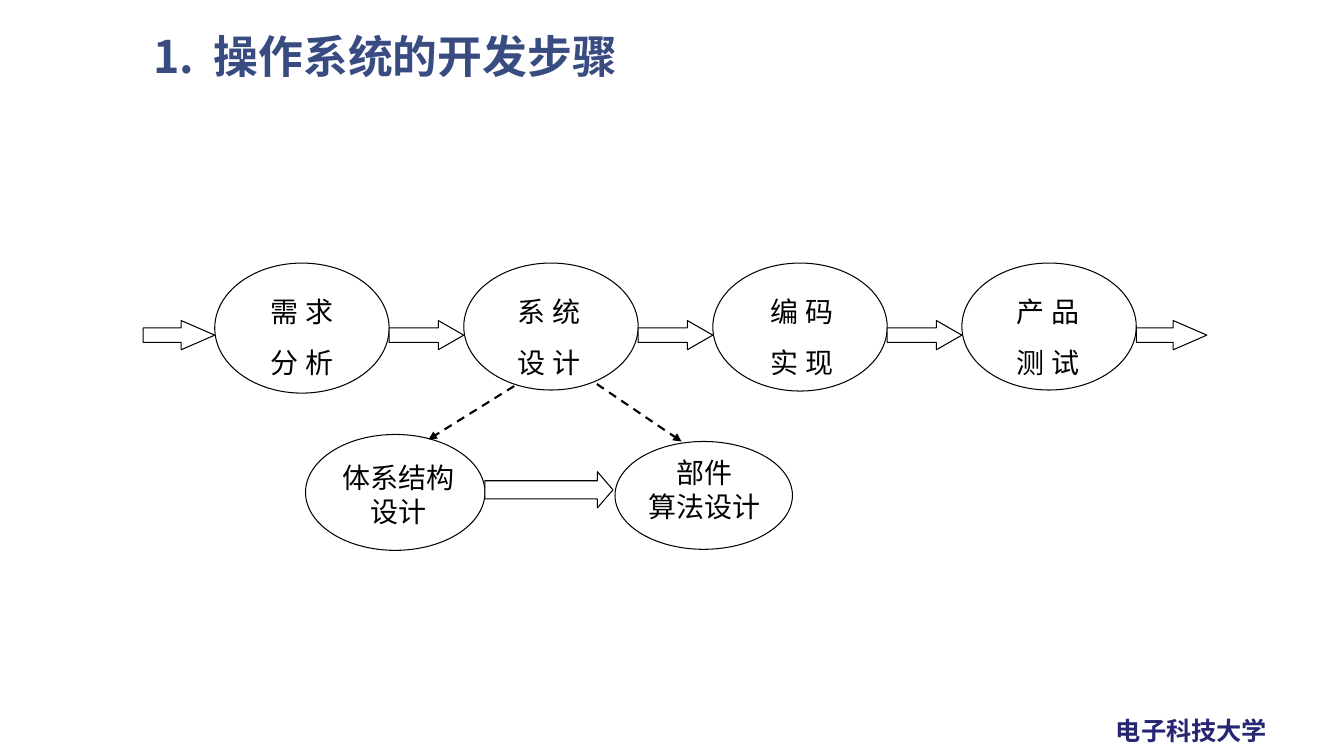
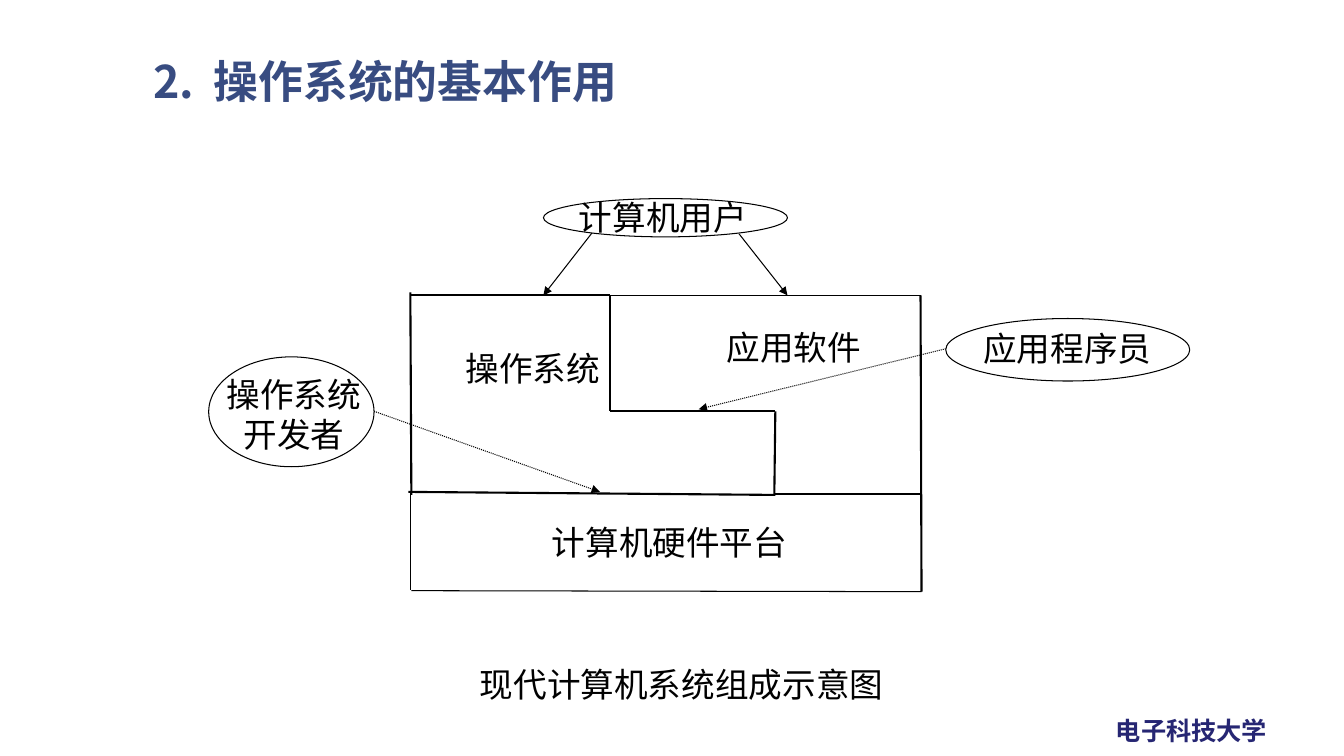
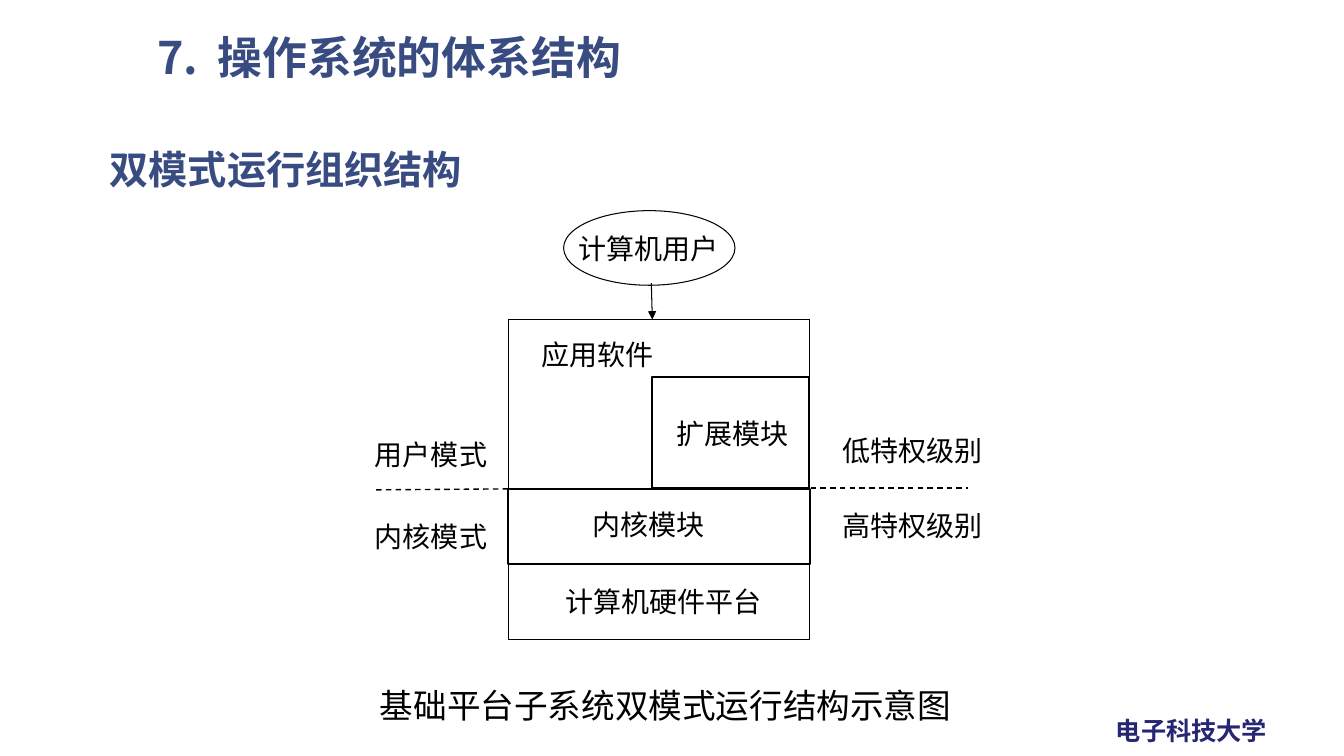
from lxml import etree
from pptx import Presentation
from pptx.dml.color import RGBColor
from pptx.enum import dml, shapes, text
from pptx.oxml.ns import qn
from pptx.util import Pt

EMU_PER_PX = 9144
WIDTH, HEIGHT = 1333, 750
BLACK, WHITE, TITLE_BLUE, FOOTER_BLUE = "000000", "FFFFFF", "384C81", "262673"
BODY_FONT, CJK_FONT = "Arial", "Noto Sans CJK SC"
ELLIPSE = shapes.MSO_SHAPE.OVAL
RECTANGLE = shapes.MSO_SHAPE.RECTANGLE
BLOCK_ARROW = shapes.MSO_SHAPE.RIGHT_ARROW
DASH, DOTS = dml.MSO_LINE.DASH, dml.MSO_LINE.ROUND_DOT
LEFT, CENTER = text.PP_ALIGN.LEFT, text.PP_ALIGN.CENTER


def px(*lengths):
    return [round(length * EMU_PER_PX) for length in lengths]


def color(value):
    return RGBColor.from_string(value)


def add_text(slide, box, content, size=20, align=CENTER, spacing=None,
             font=BODY_FONT, ink=BLACK, bold=False, wrap=True, tab=None):
    frame = slide.shapes.add_textbox(*px(*box)).text_frame
    frame.word_wrap = wrap
    frame.text = content
    for paragraph in frame.paragraphs:
        paragraph.alignment = align
        if spacing:
            paragraph.line_spacing = spacing
        properties = paragraph._p.get_or_add_pPr()
        if tab:
            stops = etree.SubElement(properties, qn("a:tabLst"))
            etree.SubElement(stops, qn("a:tab"), pos=str(px(tab)[0]), algn="l")
        paragraph.font.size = Pt(size)
        paragraph.font.bold = bold
        paragraph.font.color.rgb = color(ink)
        paragraph.font.name = font
        defaults = properties.find(qn("a:defRPr"))
        etree.SubElement(defaults, qn("a:ea"), typeface=CJK_FONT)
    return frame


def add_heading(slide, box, content, size=32, spacing=0.9):
    frame = add_text(slide, box, content, size, LEFT, spacing,
                     CJK_FONT, TITLE_BLUE, True, tab=60)
    frame.vertical_anchor = text.MSO_ANCHOR.MIDDLE


def add_figure(slide, preset, box, fill=None, weight=0.75):
    figure = slide.shapes.add_shape(preset, *px(*box))
    figure.shadow.inherit = False
    if fill:
        figure.fill.solid()
        figure.fill.fore_color.rgb = color(fill)
    else:
        figure.fill.background()
    figure.line.color.rgb = color(BLACK)
    figure.line.width = Pt(weight)
    return figure


def add_block_arrow(slide, box, head):
    arrow = add_figure(slide, BLOCK_ARROW, box, WHITE)
    arrow.adjustments[0] = 0.5
    arrow.adjustments[1] = head


def add_line(slide, ends, weight=0.75, dash=None, arrow=False):
    connector = slide.shapes.add_connector(shapes.MSO_CONNECTOR.STRAIGHT, *px(*ends))
    connector.line.color.rgb = color(BLACK)
    connector.line.width = Pt(weight)
    if dash:
        connector.line.dash_style = dash
    if arrow:
        etree.SubElement(connector.line._get_or_add_ln(), qn("a:tailEnd"), type="triangle")
    etree.SubElement(connector._element.spPr, qn("a:effectLst"))


def new_slide(deck):
    slide = deck.slides.add_slide(deck.slide_layouts[6])
    add_text(slide, (1097, 705, 173, 40), "电子科技大学", 18, LEFT,
             font=CJK_FONT, ink=FOOTER_BLUE, bold=True, wrap=False)
    return slide


def development_steps(deck):
    slide = new_slide(deck)
    add_heading(slide, (142, 29, 1069, 60), "1.\t操作系统的开发步骤")
    first, step, width = 213, 247, 173
    stages = [("需 求分 析", 129, 248), ("系 统设 计", 126, 493),
              ("编 码实 现", 127, 744), ("产 品测 试", 126, 988)]
    add_block_arrow(slide, (142, 318, 71, 29), 1.15)
    for index, (label, height, label_left) in enumerate(stages):
        left = first + index * step
        add_figure(slide, ELLIPSE, (left, 261, width, height))
        last = index == len(stages) - 1
        add_block_arrow(slide, (left + width, 318, 70 if last else step - width, 29),
                        1.15 if last else 0.87)
        add_text(slide, (label_left, 271, 103, 105), label, spacing=1.5)

    add_figure(slide, ELLIPSE, (303, 431, 178, 115))
    add_figure(slide, ELLIPSE, (610, 438, 176, 107), WHITE)
    add_block_arrow(slide, (481, 468, 127, 36), 0.43)
    for ends in [(510, 383, 425, 436), (592, 381, 676, 438)]:
        add_line(slide, ends, 1.5, DASH, True)
    add_text(slide, (319, 452, 152, 77), "体系结构设计")
    add_text(slide, (623, 447, 152, 77), "部件\n算法设计")


def basic_role(deck):
    slide = new_slide(deck)
    add_heading(slide, (142, 21, 1069, 91), "2.\t操作系统的基本作用", spacing=1.5)

    system_outline = [(405, 488, 769, 491), (407, 290, 408, 491), (408, 293, 605, 293),
                      (605, 293, 605, 408), (605, 408, 769, 408), (769, 408, 768, 490)]
    right_side = (913, 293, 914, 587)
    for ends in system_outline + [right_side]:
        add_line(slide, ends, 1.5)
    for ends in [(605, 293, 913, 293), (407, 489, 407, 585), (768, 490, 914, 490)]:
        add_line(slide, ends, 1)
    add_line(slide, (408, 586, 914, 587))

    for ends in [(588, 230, 539, 293), (733, 232, 781, 293)]:
        add_line(slide, ends, arrow=True)
    for ends in [(371, 408, 595, 488), (938, 346, 693, 406)]:
        add_line(slide, ends, dash=DOTS, arrow=True)
    for box in [(938, 316, 242, 62), (539, 197, 242, 38), (207, 354, 164, 109)]:
        add_figure(slide, ELLIPSE, box, WHITE)

    labels = [((487, 513, 354, 50), "计算机硬件平台"),
              ((428, 340, 201, 50), "操作系统"),
              ((191, 366, 201, 91), "操作系统\n开发者"),
              ((958, 320, 201, 50), "应用程序员"),
              ((687, 319, 201, 50), "应用软件"),
              ((557, 190, 201, 50), "计算机用户"),
              ((375, 654, 602, 50), "现代计算机系统组成示意图")]
    for box, label in labels:
        add_text(slide, box, label, 24)


def dual_mode_structure(deck):
    slide = new_slide(deck)
    add_heading(slide, (146, 30, 1027, 60), "7.\t操作系统的体系结构")
    add_heading(slide, (99, 140, 1087, 60), "双模式运行组织结构", 28)

    add_figure(slide, RECTANGLE, (504, 559, 299, 75))
    add_figure(slide, RECTANGLE, (504, 485, 299, 75), weight=1.5)
    add_figure(slide, RECTANGLE, (647, 374, 155, 110), weight=1.5)
    add_figure(slide, ELLIPSE, (559, 209, 170, 74))
    add_line(slide, (646, 281, 647, 317), arrow=True)
    for ends in [(504, 317, 803, 317), (504, 317, 504, 485), (803, 317, 803, 391)]:
        add_line(slide, ends)
    for ends in [(504, 485, 369, 486), (804, 484, 960, 484)]:
        add_line(slide, ends, 1, DASH)

    labels = [(564, 225, 190, "计算机用户"), (527, 330, 132, "应用软件"),
              (661, 408, 136, "扩展模块"), (578, 499, 136, "内核模块"),
              (551, 575, 217, "计算机硬件平台"),
              (362, 429, 132, "用户模式"), (362, 510, 132, "内核模式"),
              (826, 425, 176, "低特权级别"), (826, 500, 176, "高特权级别")]
    for left, top, width, label in labels:
        add_text(slide, (left, top, width, 44), label, align=LEFT)
    add_text(slide, (359, 675, 602, 50), "基础平台子系统双模式运行结构示意图", 24)


def main():
    deck = Presentation()
    deck.slide_width, deck.slide_height = px(WIDTH, HEIGHT)
    development_steps(deck)
    basic_role(deck)
    dual_mode_structure(deck)
    deck.save("out.pptx")


if __name__ == "__main__":
    main()
